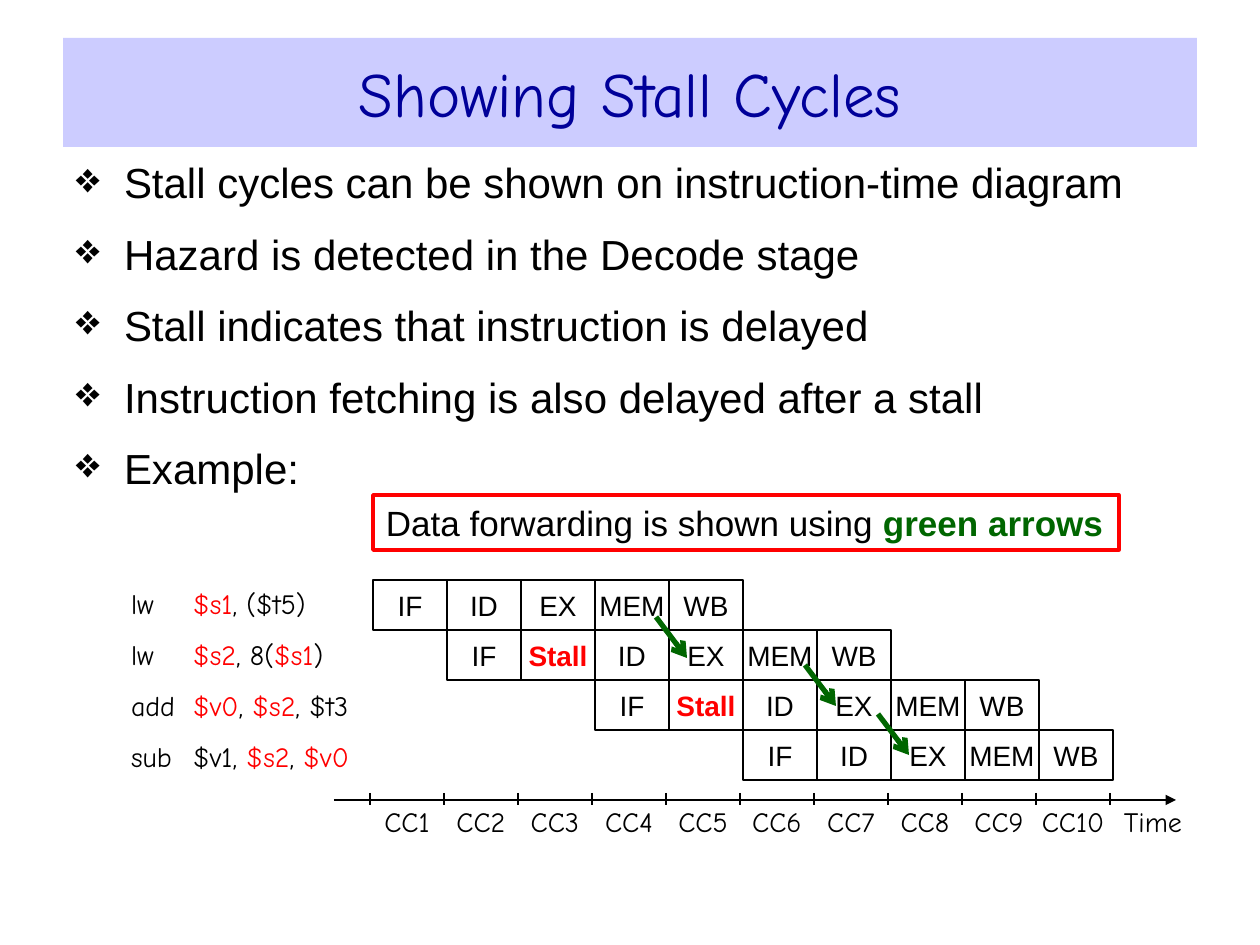
from lxml.etree import SubElement
from pptx import Presentation
from pptx.dml.color import RGBColor
from pptx.enum.shapes import MSO_CONNECTOR as Connector, MSO_SHAPE as Shape
from pptx.enum.text import MSO_ANCHOR as Anchor, PP_ALIGN as Align
from pptx.oxml.ns import qn
from pptx.util import Pt


class Theme:
    sans = "Arial"
    hand = "Comic Neue"
    black = "000000"
    red = "FF0000"
    green = "006600"
    title = "000099"
    banner = "CCCCFF"
    title_size = 36
    body_size = 24
    callout_size = 20
    label_size = 16


SCALE = 914400 / 126
CELL_W, CELL_H = 74, 50
GRID_LEFT, GRID_TOP = 373, 580
AXIS_LEFT, AXIS_Y = 370, 800
CYCLES = 10

BULLETS = [
    "Stall cycles can be shown on instruction-time diagram",
    "Hazard is detected in the Decode stage",
    "Stall indicates that instruction is delayed",
    "Instruction fetching is also delayed after a stall",
    "Example:",
]
# Operand pieces alternate between plain and dependent registers.
PIPELINE = [
    (["lw\t", "$s1", ", ($t5)"], 0, "IF ID EX MEM WB"),
    (["lw\t", "$s2", ", 8(", "$s1", ")"], 1, "IF Stall ID EX MEM WB"),
    (["add\t", "$v0", ", ", "$s2", ", $t3"], 3, "IF Stall ID EX MEM WB"),
    (["sub\t$v1, ", "$s2", ", ", "$v0"], 5, "IF ID EX MEM WB"),
]
FORWARDS = [(656, 617), (805, 665), (878, 714)]


def px(n):
    return round(n * SCALE)


def rgb(color):
    return RGBColor.from_string(color)


def style(font, name, size, color=Theme.black, bold=False):
    font.name, font.size, font.bold = name, Pt(size), bold
    font.color.rgb = rgb(color)


def set_insets(tf, x, y):
    tf.margin_left = tf.margin_right = px(x)
    tf.margin_top = tf.margin_bottom = px(y)


def add_runs(p, pieces, name, size, accent, bold=False):
    for i, text in enumerate(pieces):
        r = p.add_run()
        r.text = text
        marked = i % 2 == 1
        style(r.font, name, size, accent if marked else Theme.black, bold and marked)


def add_text(slide, x, y, w, h, anchor=Anchor.TOP, insets=(0, 0)):
    tf = slide.shapes.add_textbox(px(x), px(y), px(w), px(h)).text_frame
    tf.word_wrap = True
    tf.vertical_anchor = anchor
    set_insets(tf, *insets)
    return tf


def add_label(slide, text, x, y, w, h, anchor=Anchor.TOP):
    p = add_text(slide, x, y, w, h, anchor).paragraphs[0]
    p.text = text
    p.alignment = Align.CENTER
    style(p.runs[0].font, Theme.hand, Theme.label_size)


def add_box(slide, x, y, w, h, color, width):
    sp = slide.shapes.add_shape(Shape.RECTANGLE, px(x), px(y), px(w), px(h))
    sp.shadow.inherit = False
    sp.fill.background()
    sp.line.color.rgb = rgb(color)
    sp.line.width = Pt(width)
    return sp.text_frame


def add_line(slide, x1, y1, x2, y2, color=Theme.black, width=1.5, head=None):
    line = slide.shapes.add_connector(Connector.STRAIGHT, px(x1), px(y1), px(x2), px(y2))
    line.line.color.rgb = rgb(color)
    line.line.width = Pt(width)
    sp_pr = line._element.spPr
    if head:
        SubElement(sp_pr.find(qn("a:ln")), qn("a:tailEnd"), type=head)
    SubElement(sp_pr, qn("a:effectLst"))


def add_title(slide, text):
    sp = slide.shapes.title
    sp.left, sp.top, sp.width, sp.height = px(63), px(38), px(1134), px(109)
    sp.fill.solid()
    sp.fill.fore_color.rgb = rgb(Theme.banner)
    tf = sp.text_frame
    tf.text = text
    tf.vertical_anchor = Anchor.MIDDLE
    p = tf.paragraphs[0]
    p.alignment = Align.CENTER
    style(p.runs[0].font, Theme.hand, Theme.title_size, Theme.title)


def add_bullets(slide, items):
    tf = add_text(slide, 63, 151, 1138, 391, insets=(13, 6))
    for i, item in enumerate(items):
        p = tf.add_paragraph() if i else tf.paragraphs[0]
        p.text = item
        p_pr = p._p.get_or_add_pPr()
        p_pr.set("marL", str(px(48)))
        p_pr.set("indent", str(-px(48)))
        if i:
            p.space_before = Pt(12)
        SubElement(p_pr, qn("a:buChar"), char="❖")
        style(p.runs[0].font, Theme.sans, Theme.body_size)


def add_callout(slide):
    tf = add_box(slide, 373, 495, 746, 55, Theme.red, 2)
    tf.word_wrap = True
    tf.vertical_anchor = Anchor.TOP
    set_insets(tf, 13, 6)
    p = tf.paragraphs[0]
    p.alignment = Align.LEFT
    add_runs(p, ["Data forwarding is shown using ", "green arrows"],
             Theme.sans, Theme.callout_size, Theme.green, bold=True)


def add_instruction(slide, row, pieces):
    tf = add_text(slide, 131, 578 + 51 * row, 261, 50, Anchor.MIDDLE, (0, 6))
    p = tf.paragraphs[0]
    tabs = SubElement(p._p.get_or_add_pPr(), qn("a:tabLst"))
    SubElement(tabs, qn("a:tab"), pos=str(px(62)), algn="l")
    add_runs(p, pieces, Theme.hand, Theme.label_size, Theme.red)


def add_stage(slide, row, cycle, stage):
    tf = add_box(slide, GRID_LEFT + cycle * CELL_W, GRID_TOP + row * CELL_H,
                 CELL_W, CELL_H, Theme.black, 1)
    tf.word_wrap = False
    tf.vertical_anchor = Anchor.MIDDLE
    set_insets(tf, 0, 0)
    p = tf.paragraphs[0]
    p.text = stage
    p.alignment = Align.CENTER
    stalled = stage == "Stall"
    style(p.runs[0].font, Theme.sans, Theme.label_size,
          Theme.red if stalled else Theme.black, stalled)


def add_time_axis(slide):
    add_line(slide, 334, AXIS_Y, 1176, AXIS_Y, head="triangle")
    for i in range(CYCLES + 1):
        x = AXIS_LEFT + i * CELL_W
        add_line(slide, x, AXIS_Y - 7, x, AXIS_Y + 5)
        if i < CYCLES:
            add_label(slide, f"CC{i + 1}", x - 1, AXIS_Y + 5, 76, 38)
    add_label(slide, "Time", 1115, 804, 76, 34, Anchor.MIDDLE)


def main():
    prs = Presentation()
    prs.slide_width, prs.slide_height = px(1260), px(945)
    slide = prs.slides.add_slide(prs.slide_layouts[5])
    add_title(slide, "Showing Stall Cycles")
    add_bullets(slide, BULLETS)
    for row, (pieces, start, stages) in enumerate(PIPELINE):
        add_instruction(slide, row, pieces)
        for cycle, stage in enumerate(stages.split(), start):
            add_stage(slide, row, cycle, stage)
    add_time_axis(slide)
    for x, y in FORWARDS:
        add_line(slide, x, y, x + 31, y + 41, Theme.green, 3, "arrow")
    add_callout(slide)
    prs.save("out.pptx")


if __name__ == "__main__":
    main()
